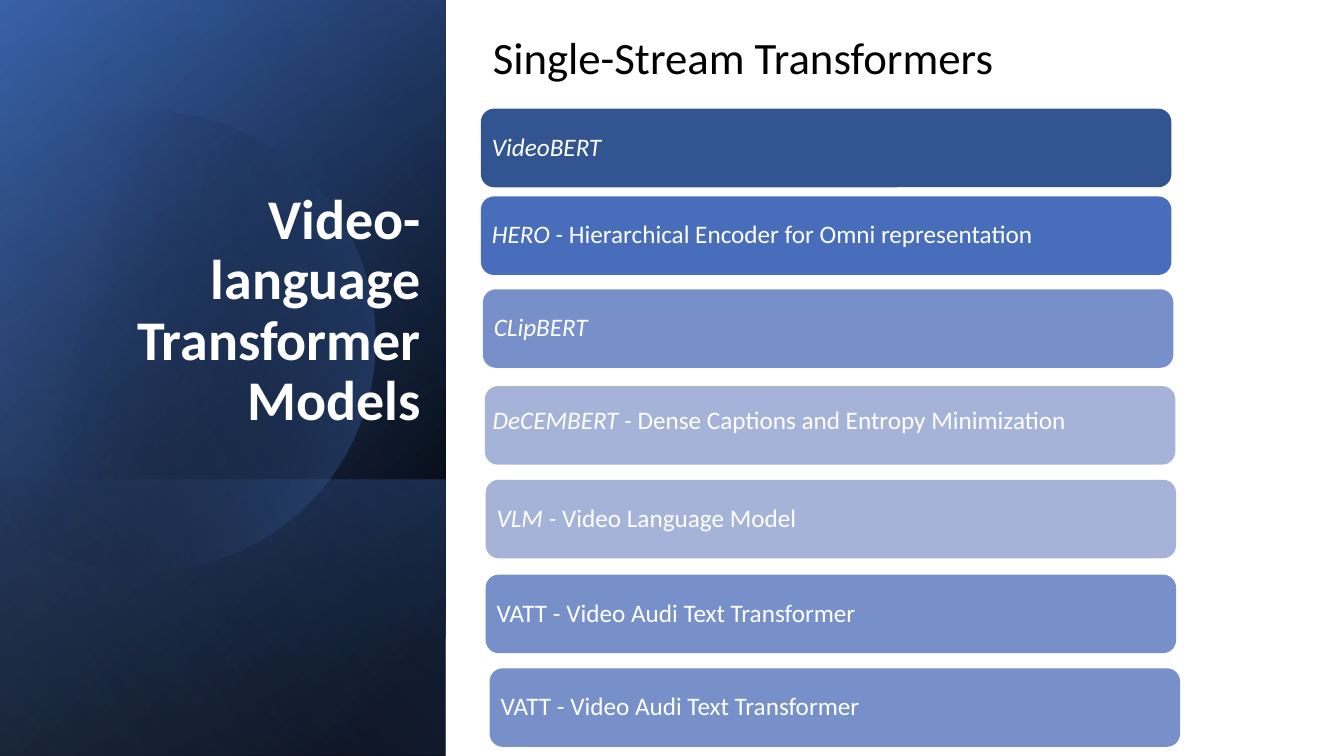
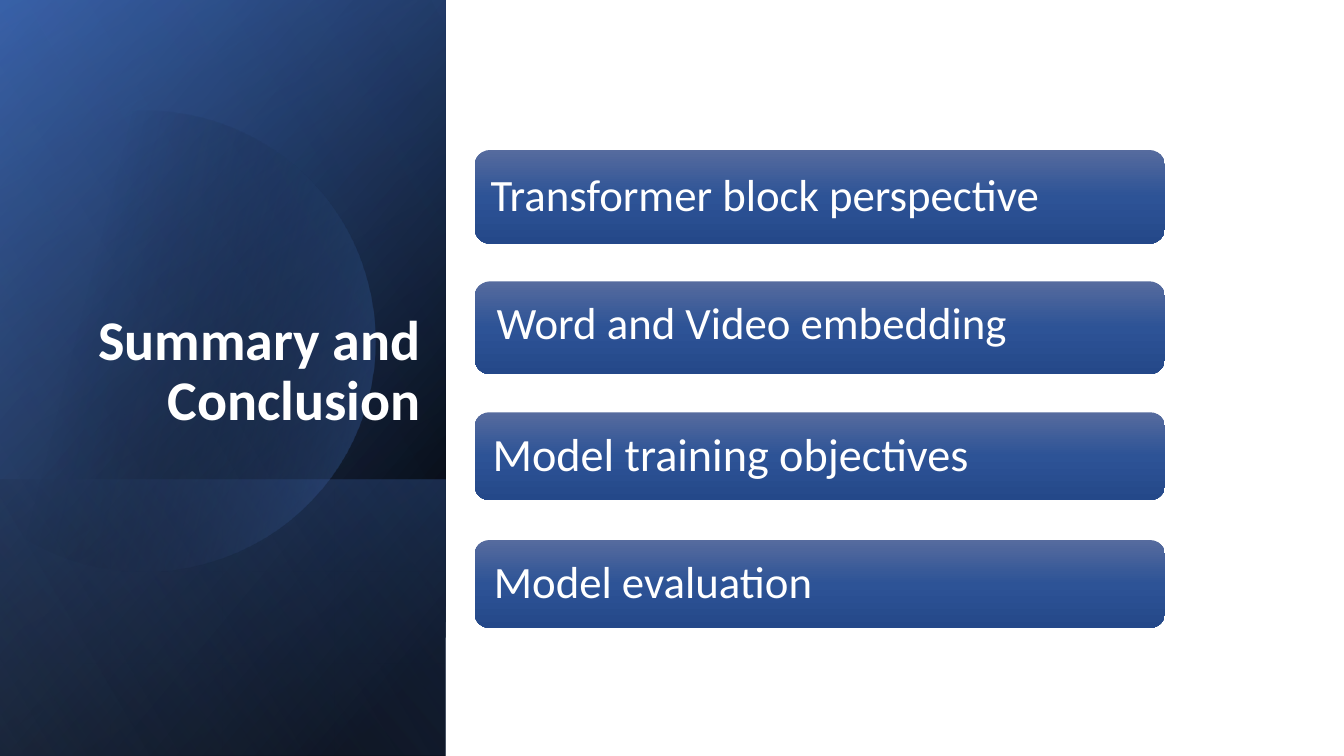
"""Build two slides on video-language transformers with a shared gradient side panel."""
from dataclasses import dataclass

import lxml.etree
import pptx
import pptx.dml.color
import pptx.enum.shapes
import pptx.enum.text
import pptx.oxml.ns
import pptx.util
from pptx.util import Cm

COLORS = {
    "white": "FFFFFF",
    "black": "000000",
    "deep": "2F5597",
    "blue": "4472C4",
    "pale": "8FAADC",
    "navy": "325491",
    "royal": "476DBB",
    "steel": "7790C9",
    "mist": "A6B3D9",
    "bar_top": "566B9E",
    "bar_middle": "2D5396",
    "bar_bottom": "244889",
}
FONT = "Calibri"
SLIDE_WIDTH, SLIDE_HEIGHT = 33.87, 19.05
PANEL_WIDTH = 11.23
BAR_WIDTH = 17.4
CURVE_STEPS = 24


@dataclass(frozen=True)
class Stop:
    position: int
    color: str
    alpha: int = 100


@dataclass(frozen=True)
class Gradient:
    angle: float
    stops: tuple[Stop, ...]


@dataclass(frozen=True)
class Phrase:
    text: str
    size: float
    color: str = "white"
    bold: bool = False
    italic: bool = False


@dataclass(frozen=True)
class Bar:
    left: float
    top: float
    height: float
    fill: str | Gradient
    phrases: tuple[Phrase, ...]
    indent: float
    lift: float = 0


BACKDROP = Gradient(220, (Stop(8, "black"), Stop(100, "deep")))
GLOW = Gradient(240, (Stop(0, "black", 0), Stop(99, "blue", 46)))
FOOT = Gradient(140, (Stop(2, "blue", 29), Stop(100, "black", 30)))
DISC = Gradient(14, (Stop(29, "black", 0), Stop(100, "blue", 43)))
SHEEN = Gradient(150, (Stop(0, "black", 0), Stop(99, "pale", 11)))
BAR_GRADIENT = Gradient(
    90, (Stop(0, "bar_top"), Stop(50, "bar_middle"), Stop(100, "bar_bottom"))
)
FOOT_TOP = 12.09

DISC_START = (3.78, 2.79)
DISC_SEGMENTS = (
    ((6.25, 2.84), (8.51, 4.5), (9.22, 6.99)),
    ((10.11, 10.08), (8.33, 13.28), (5.26, 14.17)),
    ((3.33, 14.73), (1.35, 14.25), (-0.08, 13.06)),
    ((-0.38, 12.78),),
    ((-0.38, 4.45),),
    ((0, 4.09),),
    ((0.58, 3.61), (1.27, 3.25), (2.03, 3.02)),
    ((2.62, 2.87), (3.2, 2.79), DISC_START),
)


def model_bar(left: float, top: float, fill: str, name: str, meaning: str = "",
              indent: float = 0.18, lift: float = 0) -> Bar:
    phrases = (Phrase(name, 18, italic=True), Phrase(meaning, 18))
    shown = tuple(phrase for phrase in phrases if phrase.text)
    return Bar(left, top, 1.98, fill, shown, indent, lift)


def summary_bar(top: float, height: float, text: str, indent: float,
                size: float = 32, lift: float = 0) -> Bar:
    return Bar(11.96, top, height, BAR_GRADIENT, (Phrase(text, size),), indent, lift)


VATT = "VATT - Video Audi Text Transformer"
MODELS = (
    model_bar(12.12, 2.74, "navy", "VideoBERT"),
    model_bar(12.12, 4.95, "royal", "HERO - ",
              "Hierarchical Encoder for Omni representation"),
    model_bar(12.17, 7.29, "steel", "CLipBERT"),
    model_bar(12.22, 9.73, "mist", "DeCEMBERT - ",
              "Dense Captions and Entropy Minimization", 0.1, 0.09),
    model_bar(12.24, 12.09, "mist", "VLM - ", "Video Language Model"),
    model_bar(12.24, 14.48, "steel", "", VATT),
    model_bar(12.34, 16.84, "steel", "", VATT),
)
SUMMARY = (
    summary_bar(3.78, 2.36, "Transformer block perspective", 0.29),
    summary_bar(7.09, 2.34, "Word and Video embedding", 0.44, lift=0.08),
    summary_bar(10.39, 2.21, "Model training objectives", 0.35, size=33),
    summary_bar(13.61, 2.21, "Model evaluation", 0.38),
)


def rgb(color: str) -> pptx.dml.color.RGBColor:
    return pptx.dml.color.RGBColor.from_string(COLORS[color])


def apply_gradient(shape, gradient: Gradient) -> None:
    qn = pptx.oxml.ns.qn
    shape.fill.background()
    properties = shape.element.spPr
    fill = lxml.etree.Element(qn("a:gradFill"), rotWithShape="1")
    stop_list = lxml.etree.SubElement(fill, qn("a:gsLst"))
    for stop in gradient.stops:
        entry = lxml.etree.SubElement(
            stop_list, qn("a:gs"), pos=str(stop.position * 1000))
        color = lxml.etree.SubElement(
            entry, qn("a:srgbClr"), val=COLORS[stop.color])
        if stop.alpha < 100:
            lxml.etree.SubElement(
                color, qn("a:alpha"), val=str(stop.alpha * 1000))
    lxml.etree.SubElement(
        fill, qn("a:lin"), ang=str(int(gradient.angle * 60000)), scaled="0")
    properties.replace(properties.find(qn("a:noFill")), fill)


def paint(shape, fill: str | Gradient) -> None:
    shape.shadow.inherit = False
    shape.line.fill.background()
    if isinstance(fill, Gradient):
        apply_gradient(shape, fill)
    else:
        shape.fill.solid()
        shape.fill.fore_color.rgb = rgb(fill)


def write(frame, phrases: tuple[Phrase, ...], align, anchor,
          spacing: float = 0.9) -> None:
    frame.word_wrap = True
    frame.auto_size = pptx.enum.text.MSO_AUTO_SIZE.NONE
    frame.vertical_anchor = anchor
    paragraph = frame.paragraphs[0]
    paragraph.alignment = align
    paragraph.line_spacing = spacing
    for phrase in phrases:
        run = paragraph.add_run()
        run.text = phrase.text
        run.font.name = FONT
        run.font.size = pptx.util.Pt(phrase.size)
        run.font.bold = phrase.bold
        run.font.italic = phrase.italic
        run.font.color.rgb = rgb(phrase.color)


def add_tint(slide, gradient: Gradient, top: float = 0) -> None:
    tint = slide.shapes.add_shape(
        pptx.enum.shapes.MSO_SHAPE.RECTANGLE,
        Cm(0), Cm(top), Cm(PANEL_WIDTH), Cm(SLIDE_HEIGHT - top))
    paint(tint, gradient)


def disc_outline() -> list[tuple[float, float]]:
    points = [DISC_START]
    for segment in DISC_SEGMENTS:
        if len(segment) == 1:
            points.append(segment[0])
            continue
        start = points[-1]
        controls = (start, *segment)
        for step in range(1, CURVE_STEPS + 1):
            t = step / CURVE_STEPS
            weights = ((1 - t) ** 3, 3 * t * (1 - t) ** 2, 3 * t * t * (1 - t), t ** 3)
            points.append(tuple(
                sum(weight * point[axis] for weight, point in zip(weights, controls))
                for axis in (0, 1)))
    return points


def add_disc(slide) -> None:
    start, *rest = [(Cm(x), Cm(y)) for x, y in disc_outline()]
    builder = slide.shapes.build_freeform(*start)
    builder.add_line_segments(rest, close=True)
    paint(builder.convert_to_shape(), DISC)


def add_bar(slide, bar: Bar) -> None:
    shape = slide.shapes.add_shape(
        pptx.enum.shapes.MSO_SHAPE.ROUNDED_RECTANGLE,
        Cm(bar.left), Cm(bar.top), Cm(BAR_WIDTH), Cm(bar.height))
    paint(shape, bar.fill)
    frame = shape.text_frame
    frame.margin_left = frame.margin_right = Cm(bar.indent)
    frame.margin_top = Cm(0)
    frame.margin_bottom = Cm(2 * bar.lift)
    write(frame, bar.phrases, pptx.enum.text.PP_ALIGN.LEFT,
          pptx.enum.text.MSO_ANCHOR.MIDDLE)


def add_heading(slide, text: str) -> None:
    heading = slide.shapes.add_textbox(Cm(12.17), Cm(0.84), Cm(15.04), Cm(1.52))
    write(heading.text_frame, (Phrase(text, 32, "black"),),
          pptx.enum.text.PP_ALIGN.LEFT, pptx.enum.text.MSO_ANCHOR.MIDDLE, 0.7)


def add_panel_slide(deck, title_text: str, bars: tuple[Bar, ...]):
    slide = deck.slides.add_slide(deck.slide_layouts[5])
    add_tint(slide, BACKDROP)
    add_tint(slide, GLOW)
    add_tint(slide, FOOT, FOOT_TOP)
    add_disc(slide)
    add_tint(slide, SHEEN)
    title = slide.shapes.title
    title.element.getparent().append(title.element)
    title.left, title.top = Cm(1.3), Cm(1.63)
    title.width, title.height = Cm(9.55), Cm(9.4)
    write(title.text_frame, (Phrase(title_text, 40, bold=True),),
          pptx.enum.text.PP_ALIGN.RIGHT, pptx.enum.text.MSO_ANCHOR.BOTTOM)
    for bar in bars:
        add_bar(slide, bar)
    return slide


def main() -> None:
    deck = pptx.Presentation()
    deck.slide_width, deck.slide_height = Cm(SLIDE_WIDTH), Cm(SLIDE_HEIGHT)
    models = add_panel_slide(deck, "Video-language Transformer Models", MODELS)
    add_heading(models, "Single-Stream Transformers")
    add_panel_slide(deck, "Summary and Conclusion", SUMMARY)
    deck.save("out.pptx")


if __name__ == "__main__":
    main()
